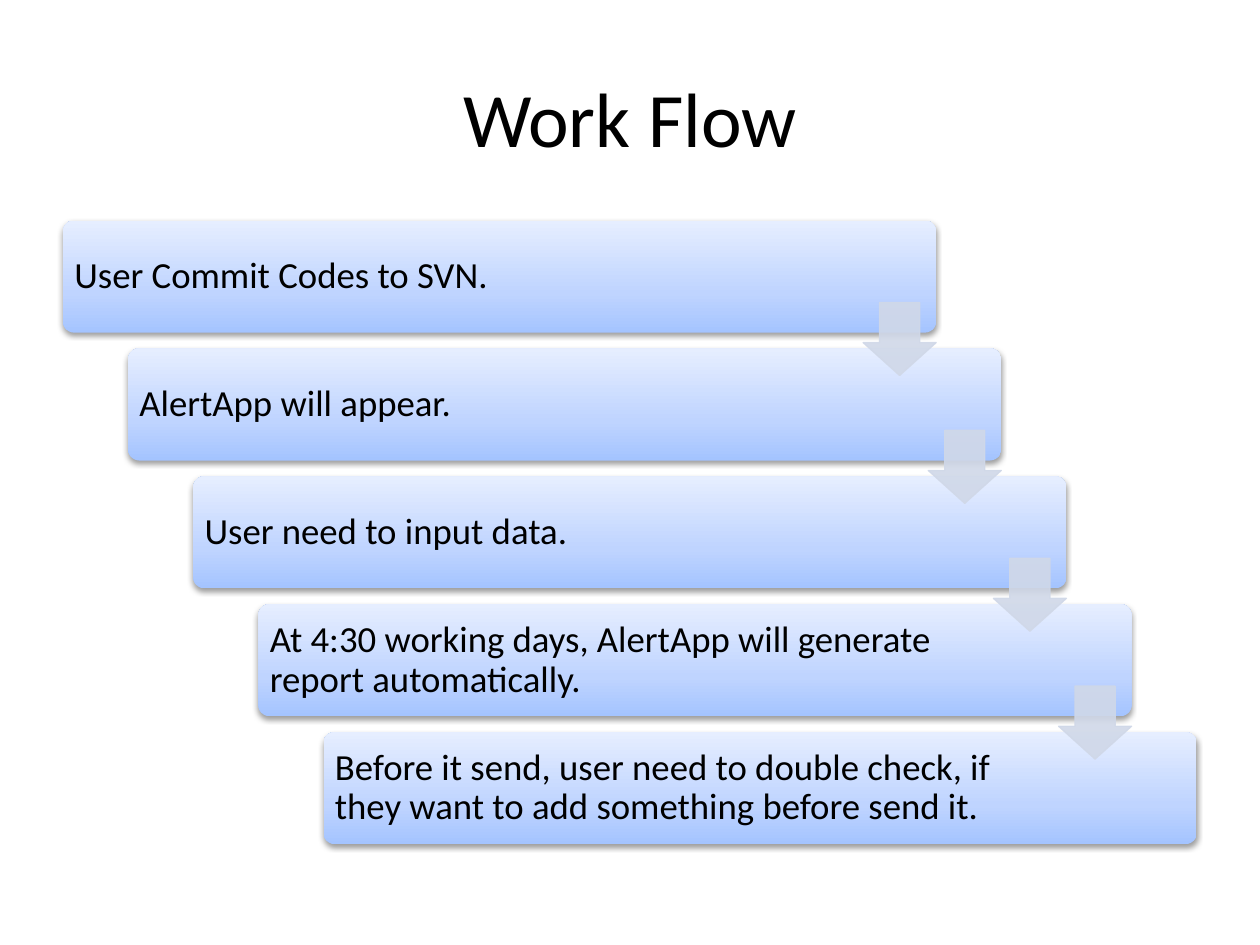
import lxml.etree
import pptx
import pptx.dml.color
import pptx.enum.shapes
import pptx.enum.text
import pptx.oxml.ns
import pptx.util

Inches = pptx.util.Inches
Pt = pptx.util.Pt
Shapes = pptx.enum.shapes.MSO_SHAPE
Align = pptx.enum.text.PP_ALIGN
Anchor = pptx.enum.text.MSO_ANCHOR

STEPS = [
    "User Commit Codes to SVN.",
    "AlertApp will appear.",
    "User need to input data.",
    "At 4:30 working days, AlertApp will generate report automatically.",
    "Before it send, user need to double check, if they want to add something before send it.",
]
LEFT, TOP = 0.5, 1.75
STEP_X, STEP_Y = 0.517, 1.015
BAR_WIDTH, BAR_HEIGHT = 6.93, 0.89
ARROW_X, ARROW_Y, ARROW_SIZE = 6.85, 2.4, 0.58


def color(value):
    return pptx.dml.color.RGBColor.from_string(value)


def add_child(parent, tag, **values):
    return lxml.etree.SubElement(parent, pptx.oxml.ns.qn(tag), values)


def apply(target, values):
    for name, value in values.items():
        setattr(target, name, value)


class SlideBuilder:
    font = "Calibri"
    text_color = "000000"
    arrow_color = "D0D8E8"
    bar_stops = [(0, "A4C4FF"), (35, "BFD4FF"), (100, "E6EEFF")]
    inset = Inches(0.09)

    def __init__(self, deck):
        self.slide = deck.slides.add_slide(deck.slide_layouts[5])

    def set_text(self, frame, text, size, paragraph_format):
        para = frame.paragraphs[0]
        apply(para, paragraph_format)
        span = para.add_run()
        span.text = text
        apply(span.font, {"name": self.font, "size": Pt(size)})
        span.font.color.rgb = color(self.text_color)

    def title(self, text, left, top, width, height):
        box = self.slide.shapes.title
        apply(box, {"left": Inches(left), "top": Inches(top),
                    "width": Inches(width), "height": Inches(height)})
        box.text_frame.vertical_anchor = Anchor.MIDDLE
        self.set_text(box.text_frame, text, 44, {"alignment": Align.CENTER})

    def shape(self, kind, left, top, width, height, adjustments):
        shape = self.slide.shapes.add_shape(
            kind, Inches(left), Inches(top), Inches(width), Inches(height))
        shape.shadow.inherit = False
        for index, value in enumerate(adjustments):
            shape.adjustments[index] = value
        return shape

    def bar(self, left, top):
        bar = self.shape(Shapes.ROUNDED_RECTANGLE, left, top, BAR_WIDTH, BAR_HEIGHT, [0.1])
        bar.line.fill.background()
        bar.fill.gradient()
        bar.fill.gradient_angle = 90
        properties = bar.element.spPr
        stops = properties.find(".//" + pptx.oxml.ns.qn("a:gsLst"))
        for stop in list(stops):
            stops.remove(stop)
        for position, value in self.bar_stops:
            stop = add_child(stops, "a:gs", pos=str(position * 1000))
            add_child(stop, "a:srgbClr", val=value)
        effects = properties.find(pptx.oxml.ns.qn("a:effectLst"))
        shadow = add_child(effects, "a:outerShdw", blurRad=str(Pt(3.1)),
                           dist=str(Pt(1.6)), dir="5400000", rotWithShape="0")
        shade = add_child(shadow, "a:srgbClr", val="000000")
        add_child(shade, "a:alpha", val="38000")

    def label(self, text, left, top, width):
        box = self.slide.shapes.add_textbox(
            Inches(left), Inches(top), Inches(width), Inches(BAR_HEIGHT))
        apply(box.text_frame, {
            "word_wrap": True, "vertical_anchor": Anchor.MIDDLE,
            "margin_left": self.inset, "margin_right": self.inset,
            "margin_top": self.inset, "margin_bottom": self.inset})
        self.set_text(box.text_frame, text, 21, {"alignment": Align.LEFT, "line_spacing": 0.9})

    def arrow(self, left, top):
        arrow = self.shape(Shapes.DOWN_ARROW, left, top, ARROW_SIZE, ARROW_SIZE, [0.55, 0.45])
        arrow.line.width = Pt(0.75)
        for fill in (arrow.fill, arrow.line.fill):
            fill.solid()
            fill.fore_color.rgb = color(self.arrow_color)
        for shade in arrow.element.spPr.iter(pptx.oxml.ns.qn("a:srgbClr")):
            add_child(shade, "a:alpha", val="90000")


def main():
    deck = pptx.Presentation()
    deck.slide_width, deck.slide_height = Inches(10), Inches(7.5)
    page = SlideBuilder(deck)
    page.title("Work Flow", 0.5, 0.3, 9, 1.25)
    for index, text in enumerate(STEPS):
        left, top = LEFT + index * STEP_X, TOP + index * STEP_Y
        page.bar(left, top)
        page.label(text, left, top, 5.83 if index else 5.92)
    for index in range(len(STEPS) - 1):
        page.arrow(ARROW_X + index * STEP_X, ARROW_Y + index * STEP_Y)
    deck.save("out.pptx")


if __name__ == "__main__":
    main()
